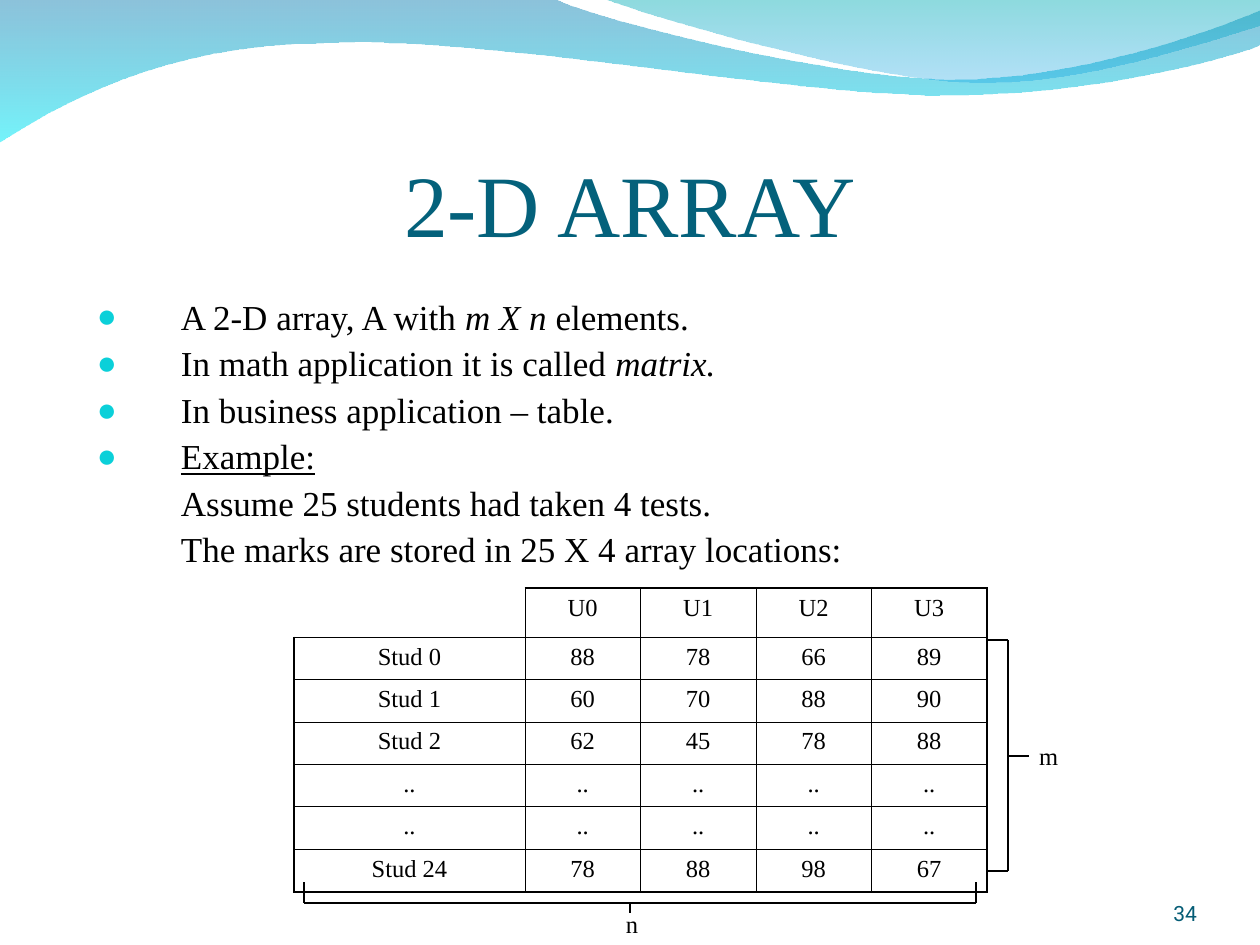
from lxml.etree import SubElement
from pptx import Presentation
from pptx.dml.color import RGBColor
from pptx.enum.shapes import MSO_CONNECTOR as Connector
from pptx.enum.text import MSO_ANCHOR as Anchor, PP_ALIGN as Align
from pptx.oxml.ns import qn
from pptx.util import Pt

PX = 914400 / 126
SERIF = "Times New Roman"
BLACK = "000000"
THIN, THICK = 0.45, 1.08

# One point is a straight edge, three points are a cubic curve
BACK_WAVE = [
    [(0, -1)], [(554, -1)],
    [(600, 21), (837, 79), (955, 79)], [(1075, 79), (1207, 33), (1260, 11)],
    [(1261, 45)],
    [(1239, 55), (1096, 96), (940, 95)], [(784, 95), (481, 35), (324, 43)],
    [(163, 44), (58, 105), (-1, 142)],
]
FRONT_WAVE = [
    [(604, -1)],
    [(641, 14), (859, 78), (969, 82)], [(1079, 87), (1211, 40), (1260, 26)],
    [(1260, 0)],
]
BODY = [  # has a bullet, then (text, style) spans
    (True, [("A 2-D array, A with ", ""), ("m X n", "i"), (" elements.", "")]),
    (True, [("In math application it is called ", ""), ("matrix.", "i")]),
    (True, [("In business application – table.", "")]),
    (True, [("Example:", "u")]),
    (False, [("Assume 25 students had taken 4 tests.", "")]),
    (False, [("The marks are stored in 25 X 4 array locations:", "")]),
]
MARKS = [
    ["", "U0", "U1", "U2", "U3"],
    ["Stud 0", "88", "78", "66", "89"],
    ["Stud 1", "60", "70", "88", "90"],
    ["Stud 2", "62", "45", "78", "88"],
    [".."] * 5,
    [".."] * 5,
    ["Stud 24", "78", "88", "98", "67"],
]
BRACKETS = [
    (304, 882, 304, 903), (976, 882, 976, 903), (304, 903, 976, 903),
    (987, 640, 1008, 640), (987, 871, 1008, 871), (1008, 640, 1008, 871),
    (630, 903, 630, 913), (1008, 756, 1029, 756),
]


def color(hex_text):
    return RGBColor.from_string(hex_text)


def px(*lengths):
    return [round(length * PX) for length in lengths]


class Page:
    def __init__(self, deck):
        self.slide = deck.slides.add_slide(deck.slide_layouts[6])
        self.shapes = self.slide.shapes

    def wave(self, segments, stops):
        points = [tuple(px(*point)) for segment in segments for point in segment]
        builder = self.shapes.build_freeform(*points[0])
        builder.add_line_segments(points[1:], close=True)
        shape = builder.convert_to_shape()
        self.bend(shape, segments)
        shape.shadow.inherit = False
        shape.line.fill.background()
        shape.fill.gradient()
        shape.fill.gradient_angle = 270
        for stop, (position, hex_text, _) in zip(shape.fill.gradient_stops, stops):
            stop.position = position
            stop.color.rgb = color(hex_text)
        for node, (_, _, opacity) in zip(shape.element.spPr.iter(qn("a:srgbClr")), stops):
            SubElement(node, qn("a:alpha"), val=str(opacity * 1000))

    def bend(self, shape, segments):
        """Join the three edges of each curve into one cubic curve."""
        edges = iter(list(shape.element.spPr.iter(qn("a:lnTo"))))
        for segment in segments[1:]:
            first, *others = [next(edges) for _ in segment]
            if others:
                first.tag = qn("a:cubicBezTo")
            for edge in others:
                first.append(edge[0])
                edge.getparent().remove(edge)

    def span(self, para, text, size, hex_text=BLACK, font=SERIF, style=""):
        span = para.add_run()
        span.text = text
        span.font.name, span.font.size = font, Pt(size)
        span.font.color.rgb = color(hex_text)
        if "i" in style:
            span.font.italic = True
        if "u" in style:
            span.font.underline = True

    def frame(self, area, insets=(13, 6, 13, 6), anchor=Anchor.TOP, wrap=True):
        frame = self.shapes.add_textbox(*px(*area)).text_frame
        frame.word_wrap = wrap
        frame.vertical_anchor = anchor
        (frame.margin_left, frame.margin_top,
         frame.margin_right, frame.margin_bottom) = px(*insets)
        return frame

    def text(self, area, text, size, hex_text=BLACK, font=SERIF, align=Align.LEFT, **layout):
        para = self.frame(area, **layout).paragraphs[0]
        para.alignment = align
        self.span(para, text, size, hex_text, font)

    def bullets(self, area, items):
        frame = self.frame(area)
        indent, = px(84)
        for index, (bulleted, spans) in enumerate(items):
            para = frame.add_paragraph() if index else frame.paragraphs[0]
            para.alignment = Align.JUSTIFY
            para.line_spacing = 0.9
            if index:
                para.space_before = Pt(5)
            props = para._p.get_or_add_pPr()
            props.set("marL", str(indent))
            props.set("indent", str(-indent if bulleted else 0))
            if bulleted:
                SubElement(SubElement(props, qn("a:buClr")), qn("a:srgbClr"), val="0BD0D9")
                SubElement(props, qn("a:buSzPct"), val="95000")
                SubElement(props, qn("a:buFont"), typeface=SERIF)
                SubElement(props, qn("a:buChar"), char="●")
            else:
                SubElement(props, qn("a:buNone"))
            for text, style in spans:
                self.span(para, text, 20, style=style)

    def borders(self, cell, widths):
        props = cell._tc.get_or_add_tcPr()
        for side in "LRTB":
            width = widths.get(side, 0)
            line = SubElement(props, qn(f"a:ln{side}"), w=str(int(Pt(width))))
            if width:
                SubElement(SubElement(line, qn("a:solidFill")), qn("a:srgbClr"), val=BLACK)
            else:
                SubElement(line, qn("a:noFill"))

    def table(self, area, rows, header_height):
        # The label takes two columns; every column has the same width
        last_row, last_col = len(rows) - 1, len(rows[0])
        left, top, width, height, header = px(*area, header_height)
        table = self.shapes.add_table(last_row + 1, last_col + 1, left, top, width, height).table
        table.first_row = table.horz_banding = False
        for column in table.columns:
            column.width = width // (last_col + 1)
        for r, row in enumerate(table.rows):
            row.height = (height - header) // last_row if r else header
            for c, cell in enumerate(row.cells):
                widths = {"L": THIN if c else THICK,
                          "R": THICK if c == last_col else THIN,
                          "T": THIN if r else THICK,
                          "B": THICK if r == last_row else THIN}
                if r == 0 and c < 2:
                    widths = {"B": THIN, "R": THIN if c else 0}
                    cell.margin_top = cell.margin_bottom = 0
                self.borders(cell, widths)
                cell.fill.background()
            if r:
                table.cell(r, 0).merge(table.cell(r, 1))
            for c, text in enumerate(rows[r]):
                if text:
                    para = table.cell(r, c + 1 if c else 0).text_frame.paragraphs[0]
                    para.alignment = Align.CENTER
                    self.span(para, text, 14)

    def line(self, ends):
        line = self.shapes.add_connector(Connector.STRAIGHT, *px(*ends))
        line.line.color.rgb = color(BLACK)
        line.line.width = Pt(0.75)
        SubElement(line.element.spPr, qn("a:effectLst"))


def main():
    deck = Presentation()
    deck.slide_width, deck.slide_height = px(1260, 945)
    page = Page(deck)

    # Waves along the top
    page.wave(BACK_WAVE, [(0, "0079AF", 45), (1, "00EBF8", 55)])
    page.wave(FRONT_WAVE, [(0, "00ADB6", 45), (1, "009BE5", 30)])

    # Title, body and page number
    page.text((63, 97, 1134, 158), "2-D ARRAY", 50, "04617B", align=Align.CENTER,
              insets=(0, 6, 0, 0), anchor=Anchor.BOTTOM)
    page.bullets((84, 294, 1144, 567), BODY)
    page.text((1092, 876, 105, 50), "34", 12, "045C75", "Roboto", Align.RIGHT,
              insets=(0, 0, 0, 0), anchor=Anchor.BOTTOM)

    # Marks table with its brackets
    page.table((294, 588, 693, 304), MARKS, 49)
    for ends in BRACKETS:
        page.line(ends)
    page.text((613, 903, 38, 43), "n", 14, wrap=False)
    page.text((1026, 735, 44, 43), "m", 14, wrap=False)

    deck.save("out.pptx")


if __name__ == "__main__":
    main()
